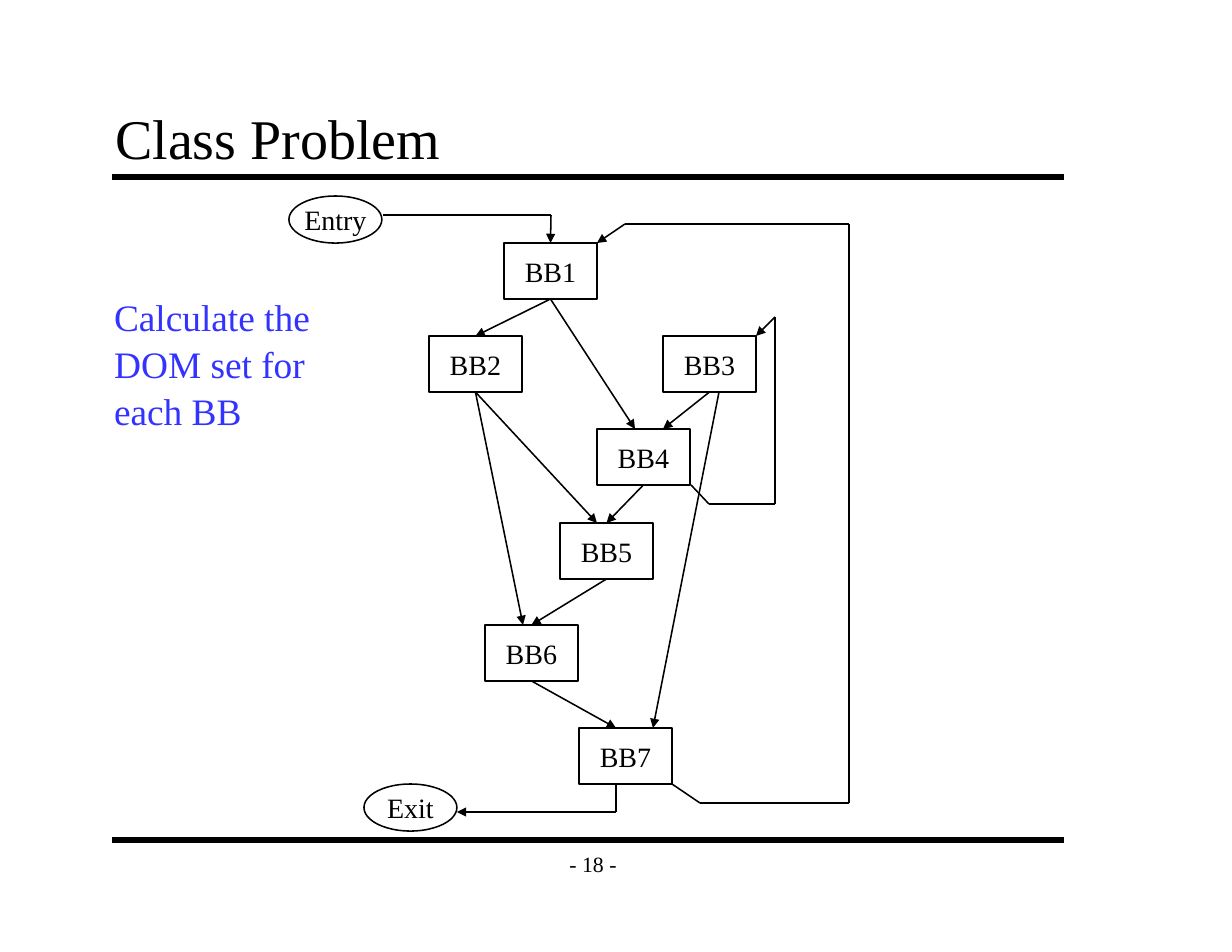
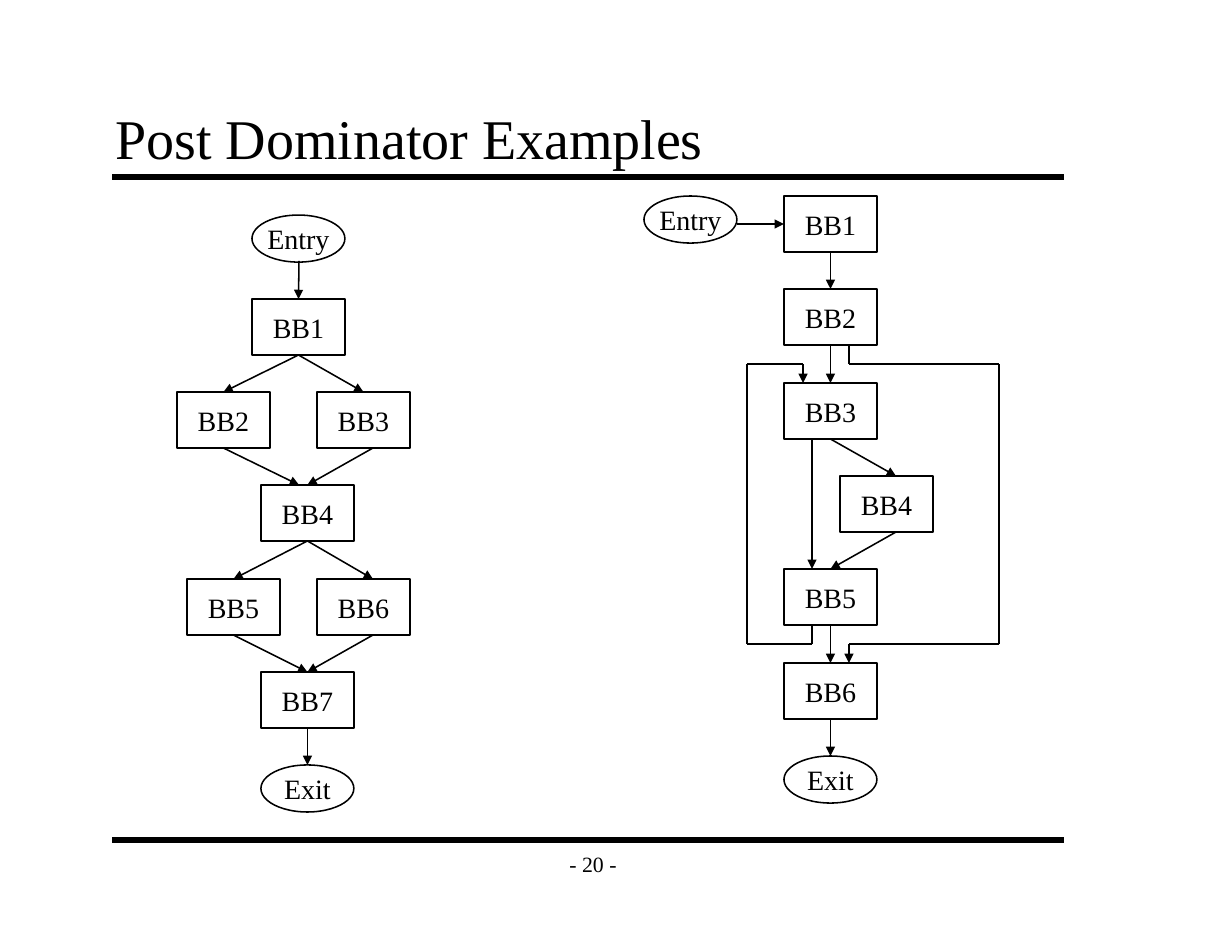
from lxml import etree
from pptx import Presentation
from pptx.dml.color import RGBColor
from pptx.enum import shapes, text
from pptx.oxml.ns import qn
from pptx.util import Inches, Pt

FONT = "Times New Roman"
COLORS = {"ink": "000000", "note": "3333FF", "back": "FFFFFF"}
BOX_W, BOX_H, OVAL_H = 0.83, 0.5, 0.42
TOP, LEFT, BOTTOM = 0, 1, 2
BAND_X, BAND_END = 1, 9.5


def color(name):
    return RGBColor.from_string(COLORS[name])


def write(frame, lines, size, hue="ink", align=text.PP_ALIGN.LEFT, gap=0):
    """Fill a text frame, one paragraph per line."""
    for i, line in enumerate(lines):
        par = frame.paragraphs[0] if i == 0 else frame.add_paragraph()
        par.text = line
        par.alignment = align
        par.space_before = Pt(gap)
        par.font.name, par.font.size = FONT, Pt(size)
        par.font.color.rgb = color(hue)


def label(slide, area, lines, size, anchor, wrap=False, inset=(0.11, 0.06), **style):
    frame = slide.shapes.add_textbox(*map(Inches, area)).text_frame
    frame.word_wrap, frame.vertical_anchor = wrap, anchor
    frame.margin_left = frame.margin_right = Inches(inset[0])
    frame.margin_top = frame.margin_bottom = Inches(inset[1])
    write(frame, lines, size, **style)


def node(slide, name, spot):
    """Draw a block, or an oval for the entry and exit."""
    block = name.startswith("BB")
    kind = shapes.MSO_SHAPE.RECTANGLE if block else shapes.MSO_SHAPE.OVAL
    size = (BOX_W, BOX_H if block else OVAL_H)
    shape = slide.shapes.add_shape(kind, *map(Inches, (*spot, *size)))
    shape.shadow.inherit = False
    shape.fill.background()
    shape.line.color.rgb, shape.line.width = color("ink"), Pt(1)
    frame = shape.text_frame
    frame.word_wrap, frame.vertical_anchor = False, text.MSO_ANCHOR.MIDDLE
    write(frame, [name], 18, align=text.PP_ALIGN.CENTER)
    return shape


def line(slide, start, end, nodes=None, width=1, arrow=False):
    """Join two stops, each a point (x, y) or a joint (node name, side)."""
    joints = [isinstance(stop[0], str) for stop in (start, end)]
    spots = [(0, 0) if joint else stop for joint, stop in zip(joints, (start, end))]
    link = slide.shapes.add_connector(
        shapes.MSO_CONNECTOR.STRAIGHT, *map(Inches, (*spots[0], *spots[1])))
    if joints[0]:
        link.begin_connect(nodes[start[0]], start[1])
    if joints[1]:
        link.end_connect(nodes[end[0]], end[1])
    link.line.color.rgb, link.line.width = color("ink"), Pt(width)
    if arrow:
        tip = etree.SubElement(link.line._get_or_add_ln(), qn("a:tailEnd"))
        tip.set("type", "triangle")
    etree.SubElement(link._element.spPr, qn("a:effectLst"))


def graph(slide, spots, edges, routes):
    """Draw nodes, straight edges, and bent routes with an arrow at the end."""
    nodes = {name: node(slide, name, spot) for name, spot in spots.items()}
    for start, end in edges:
        # A bare name leaves at the bottom and arrives at the top
        start = (start, BOTTOM) if isinstance(start, str) else start
        end = (end, TOP) if isinstance(end, str) else end
        line(slide, start, end, nodes, arrow=True)
    for stops in routes:
        last = len(stops) - 2
        for i, (start, end) in enumerate(zip(stops, stops[1:])):
            line(slide, start, end, nodes, arrow=i == last)


def page(deck, title, number):
    """Add a slide with its title, bands and page number."""
    slide = deck.slides.add_slide(deck.slide_layouts[6])
    slide.background.fill.solid()
    slide.background.fill.fore_color.rgb = color("back")
    for y in (1.58, 7.5):
        line(slide, (BAND_X, y), (BAND_END, y), width=4)
    label(slide, (4.92, 7.5, 0.75, 0.42), [f"- {number} -"], 14,
          text.MSO_ANCHOR.MIDDLE, align=text.PP_ALIGN.CENTER)
    label(slide, (0.92, 0.91, 8.5, 0.67), [title], 36,
          text.MSO_ANCHOR.BOTTOM, wrap=True)
    return slide


def problem(deck):
    slide = page(deck, "Class Problem", 18)
    spots = {
        "BB1": (4.5, 2.17), "BB2": (3.83, 3), "BB3": (5.92, 3),
        "BB4": (5.33, 3.83), "BB5": (5, 4.67), "BB6": (4.33, 5.58),
        "BB7": (5.17, 6.5), "Entry": (2.58, 1.75), "Exit": (3.25, 7),
    }
    edges = [
        ("BB1", "BB2"), ("BB1", (5.67, 3.83)), ("BB3", (5.92, 3.83)),
        ((6.42, 3.5), (5.83, 6.5)), ("BB4", "BB5"), ("BB5", "BB6"),
        ("BB2", (5.33, 4.67)), ("BB2", (4.67, 5.58)), ("BB6", (5.5, 6.5)),
    ]
    routes = [
        [(3.42, 1.92), (4.92, 1.92), ("BB1", TOP)],
        [(6.17, 4.33), (6.33, 4.5), (6.92, 4.5), (6.92, 2.83), (6.75, 3)],
        [(6, 7), (6.25, 7.17), (7.58, 7.17), (7.58, 2), (5.58, 2), (5.33, 2.17)],
        [(5.5, 7), (5.5, 7.25), (4.08, 7.25)],
    ]
    graph(slide, spots, edges, routes)
    label(slide, (0.92, 2.58, 1.95, 1.3),
          ["Calculate the", "DOM set for", "each BB"], 24,
          text.MSO_ANCHOR.TOP, inset=(0.1, 0.05), hue="note", gap=1.2)


def examples(deck):
    slide = page(deck, "Post Dominator Examples", 20)

    # Left graph: two diamonds
    spots = {
        "Entry": (2.25, 1.92), "BB1": (2.25, 2.67), "BB2": (1.58, 3.5),
        "BB3": (2.83, 3.5), "BB4": (2.33, 4.33), "BB5": (1.67, 5.17),
        "BB6": (2.83, 5.17), "BB7": (2.33, 6), "Exit": (2.33, 6.83),
    }
    edges = [
        ((2.67, 2.33), "BB1"), ("BB1", "BB2"), ("BB1", "BB3"),
        ("BB2", (2.67, 4.33)), ((3.33, 4), "BB4"), ("BB4", "BB5"),
        ("BB4", (3.33, 5.17)), ("BB5", "BB7"), ((3.33, 5.67), "BB7"),
        ("BB7", "Exit"),
    ]
    graph(slide, spots, edges, [])

    # Right graph: a loop and a bypass
    spots = {
        "Entry": (5.75, 1.75), "BB1": (7, 1.75), "BB2": (7, 2.58),
        "BB3": (7, 3.42), "BB4": (7.5, 4.25), "BB5": (7, 5.08),
        "BB6": (7, 5.92), "Exit": (7, 6.75),
    }
    edges = [
        ((6.58, 2), ("BB1", LEFT)), ("BB1", "BB2"), ("BB2", "BB3"),
        ("BB3", (8, 4.25)), ((8, 4.75), "BB5"), ((7.25, 3.92), (7.25, 5.08)),
        ("BB5", "BB6"), ("BB6", "Exit"),
    ]
    routes = [
        [(7.25, 5.58), (7.25, 5.75), (6.67, 5.75), (6.67, 3.25),
         (7.17, 3.25), (7.17, 3.42)],
        [(7.58, 3.08), (7.58, 3.25), (8.92, 3.25), (8.92, 5.75),
         (7.58, 5.75), (7.58, 5.92)],
    ]
    graph(slide, spots, edges, routes)


def main():
    deck = Presentation()
    deck.slide_width, deck.slide_height = Inches(11), Inches(8.5)
    problem(deck)
    examples(deck)
    deck.save("out.pptx")


if __name__ == "__main__":
    main()
